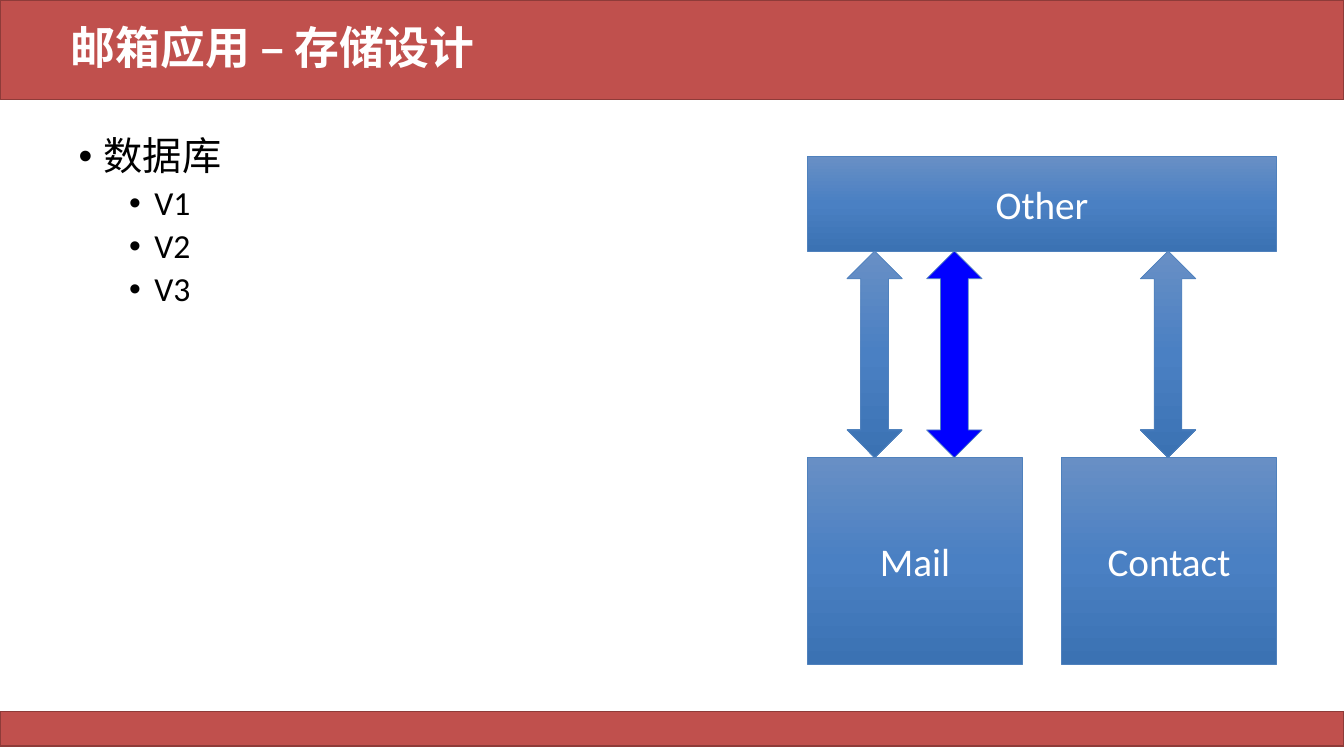
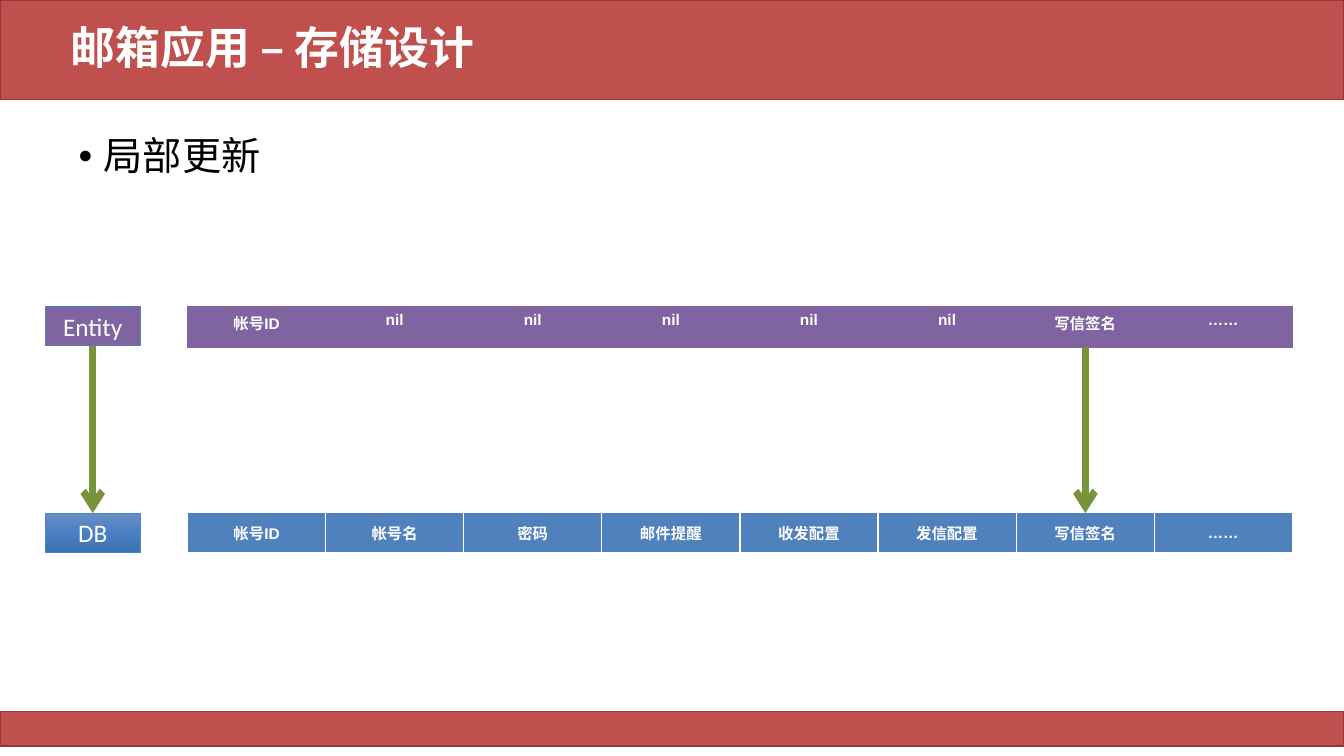
from copy import deepcopy
from dataclasses import dataclass

from lxml.etree import SubElement
from pptx import Presentation
from pptx.dml.color import RGBColor
from pptx.enum.shapes import MSO_CONNECTOR, MSO_SHAPE as Preset
from pptx.enum.text import MSO_ANCHOR as Anchor, MSO_AUTO_SIZE as AutoSize, PP_ALIGN as Align
from pptx.oxml.ns import qn
from pptx.util import Inches, Pt


@dataclass(frozen=True)
class Theme:
    font: str = "Calibri"
    table_font: str = "Arial"
    white: str = "FFFFFF"
    black: str = "000000"
    band: str = "C0504D"
    band_edge: str = "8E3B39"
    blue: str = "4F81BD"
    bright_blue: str = "0000FF"
    purple: str = "8064A2"
    green: str = "77933C"
    gradient: tuple = ((0, "688FC5"), (0.5, "4A80C3"), (1, "3B72B3"))
    title_size: int = 32
    list_sizes: tuple = (28, 24)
    box_size: int = 28
    label_size: int = 18
    cell_size: int = 11


theme = Theme()


def set_font(para, size, color, name=theme.font, bold=False):
    para.font.name = name
    para.font.size = Pt(size)
    para.font.bold = bold
    para.font.color.rgb = RGBColor.from_string(color)


def add_box(page, preset, place, fill=None, edge=theme.blue, edge_width=0.5, label="", size=theme.box_size):
    box = page.shapes.add_shape(preset, *map(Inches, place))
    box.shadow.inherit = False
    if fill:
        box.fill.solid()
        box.fill.fore_color.rgb = RGBColor.from_string(fill)
    else:
        box.fill.gradient()
        box.fill.gradient_angle = 270
        stop_list = box.element.spPr.find(qn("a:gradFill")).find(qn("a:gsLst"))
        stop_list.append(deepcopy(stop_list[0]))
        for stop, (position, color) in zip(box.fill.gradient_stops, theme.gradient):
            stop.position = position
            stop.color.rgb = RGBColor.from_string(color)
    box.line.color.rgb = RGBColor.from_string(edge)
    box.line.width = Pt(edge_width)
    if label:
        box.text_frame.vertical_anchor = Anchor.MIDDLE
        para = box.text_frame.paragraphs[0]
        para.text = label
        para.alignment = Align.CENTER
        set_font(para, size, theme.white)
    return box


deck = Presentation()
deck.slide_width, deck.slide_height = Inches(13.33), Inches(7.5)
layout = deck.slide_layouts[1]

outlines = (
    (("数据库", 0), ("V1", 1), ("V2", 1), ("V3", 1)),
    (("局部更新", 0),),
)
pages = []
for outline in outlines:
    page = deck.slides.add_slide(layout)
    pages.append(page)

    title, body = page.placeholders[0], page.placeholders[1]
    for holder, place in ((title, (0.6, 0.2, 11.5, 0.59)), (body, (0.68, 1.31, 12.28, 5.28))):
        holder.left, holder.top, holder.width, holder.height = map(Inches, place)
        holder.text_frame.auto_size = AutoSize.NONE

    title.text_frame.vertical_anchor = Anchor.MIDDLE
    para = title.text_frame.paragraphs[0]
    para.text = "邮箱应用 – 存储设计"
    para.alignment = Align.LEFT
    para.line_spacing = 0.9
    set_font(para, theme.title_size, theme.white, bold=True)

    for index, (text, level) in enumerate(outline):
        para = body.text_frame.add_paragraph() if index else body.text_frame.paragraphs[0]
        para.text = text
        para.level = level
        properties = para._p.get_or_add_pPr()
        properties.set("marL", str(Inches(0.25 + 0.5 * level)))
        properties.set("indent", str(Inches(-0.25)))
        SubElement(properties, qn("a:buFont"), typeface="Arial")
        SubElement(properties, qn("a:buChar"), char="•")
        para.line_spacing = 0.9
        para.space_before = Pt(5 if index else 0)
        set_font(para, theme.list_sizes[level], theme.black)

storage, update = pages

for top, height in ((0, 0.99), (7.06, 0.34)):
    band = add_box(storage, Preset.RECTANGLE, (0, top, 13.33, height), theme.band, theme.band_edge, 1)
    layout.shapes.element.insert(2, band.element)

for label, place in (
    ("Mail", (8.01, 4.54, 2.13, 2.05)),
    ("Contact", (10.53, 4.54, 2.13, 2.05)),
    ("Other", (8.01, 1.55, 4.65, 0.94)),
):
    add_box(storage, Preset.RECTANGLE, place, label=label)

for left, fill in ((8.4, None), (11.31, None), (9.19, theme.bright_blue)):
    add_box(storage, Preset.UP_DOWN_ARROW, (left, 2.49, 0.55, 2.05), fill)

table_left, column_width, row_height = 1.86, 1.37, 0.41
entity_cells = ("帐号ID", "nil", "nil", "nil", "nil", "nil", "写信签名", "……")
db_cells = ("帐号ID", "帐号名", "密码", "邮件提醒", "收发配置", "发信配置", "写信签名", "……")
for top, texts, fill, anchor, border, widths in (
    (3.04, entity_cells, theme.purple, Anchor.TOP, theme.purple, (0.5, 0.5, 0.5, 0.5)),
    (5.08, db_cells, theme.blue, Anchor.MIDDLE, theme.white, (1, 1, 1, 3)),
):
    table = update.shapes.add_table(
        1, len(texts), Inches(table_left), Inches(top), Inches(column_width * len(texts)), Inches(row_height)
    ).table
    table.first_row = table.horz_banding = False
    for column, cell, text in zip(table.columns, table.rows[0].cells, texts):
        column.width = Inches(column_width)
        cell.text = text
        cell.vertical_anchor = anchor
        para = cell.text_frame.paragraphs[0]
        para.alignment = Align.CENTER
        set_font(para, theme.cell_size, theme.white, theme.table_font, True)
        properties = cell._tc.get_or_add_tcPr()
        for side, width in zip(("a:lnL", "a:lnR", "a:lnT", "a:lnB"), widths):
            line = SubElement(properties, qn(side), w=str(Pt(width)))
            SubElement(SubElement(line, qn("a:solidFill")), qn("a:srgbClr"), val=border)
        cell.fill.solid()
        cell.fill.fore_color.rgb = RGBColor.from_string(fill)

entity, database = (
    add_box(update, Preset.RECTANGLE, (0.45, top, 0.94, 0.39), fill, label=label, size=theme.label_size)
    for label, top, fill in (("Entity", 3.04, theme.purple), ("DB", 5.09, None))
)

signature_center = table_left + column_width * (entity_cells.index("写信签名") + 0.5)
arrows = []
for center in (0.92, signature_center):
    arrow = update.shapes.add_connector(
        MSO_CONNECTOR.STRAIGHT, Inches(center), Inches(3.44), Inches(center), Inches(5.09)
    )
    arrow.line.color.rgb = RGBColor.from_string(theme.green)
    arrow.line.width = Pt(5)
    properties = arrow.element.spPr
    SubElement(properties.find(qn("a:ln")), qn("a:tailEnd"), type="arrow")
    SubElement(properties, qn("a:effectLst"))
    arrows.append(arrow)
arrows[0].begin_connect(entity, 2)
arrows[0].end_connect(database, 0)

deck.save("out.pptx")
